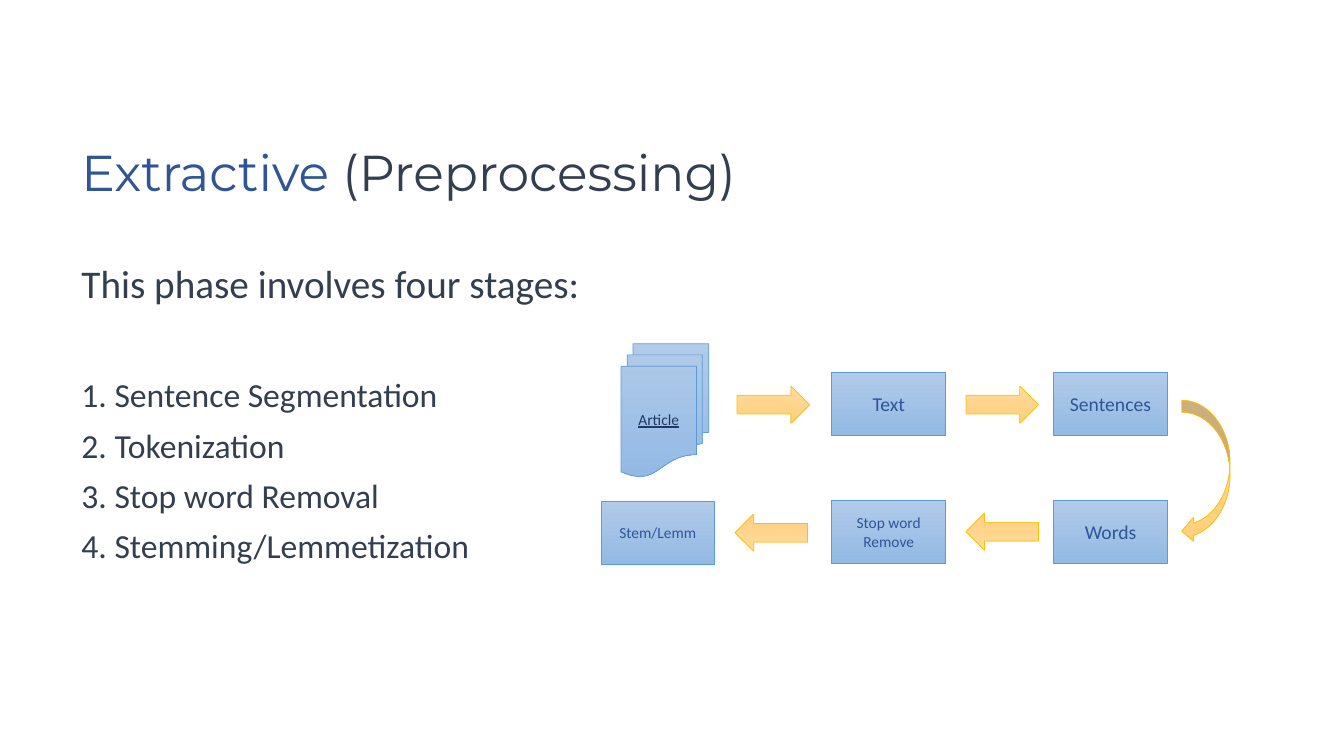
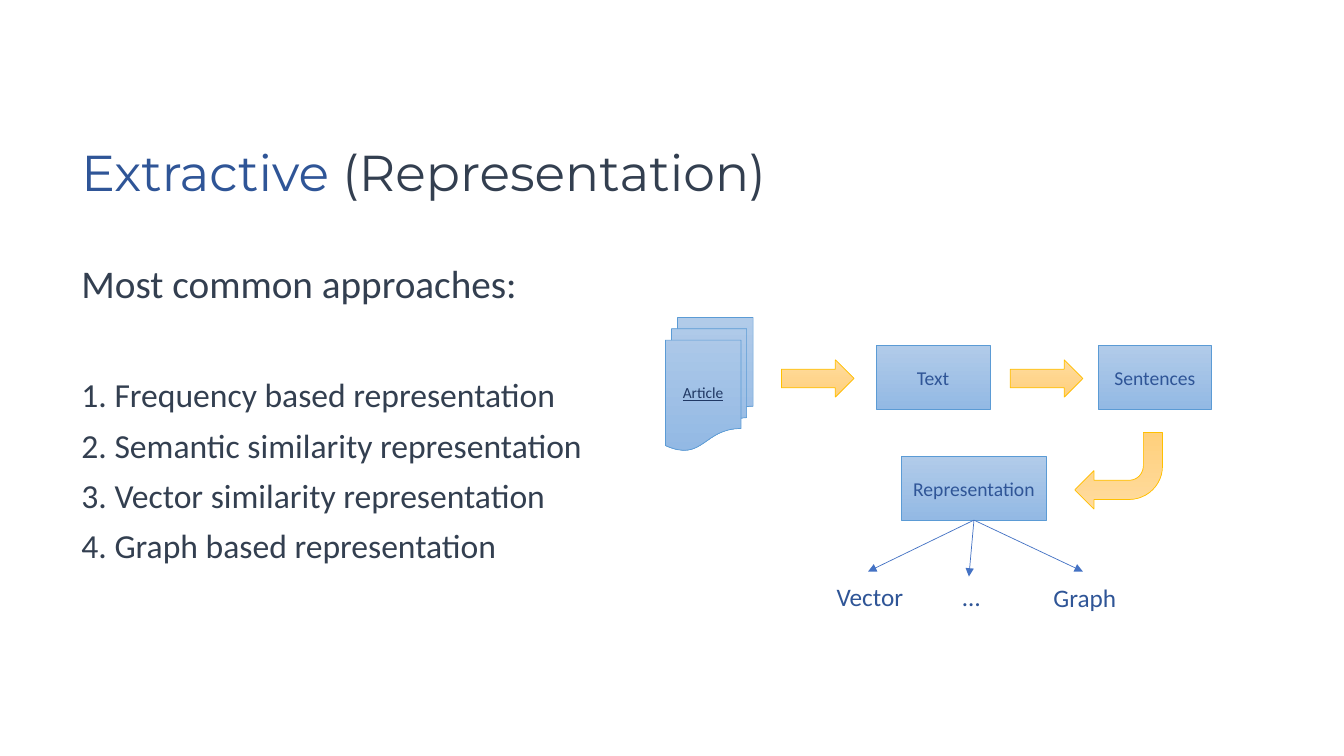
from lxml import etree
from pptx import Presentation
from pptx.dml.color import RGBColor
from pptx.enum.shapes import MSO_CONNECTOR, MSO_SHAPE
from pptx.enum.text import MSO_ANCHOR, PP_ALIGN
from pptx.oxml.ns import qn
from pptx.util import Inches, Pt

RECTANGLE = MSO_SHAPE.RECTANGLE
DOCUMENTS = MSO_SHAPE.FLOWCHART_MULTIDOCUMENT
RIGHT_ARROW = MSO_SHAPE.RIGHT_ARROW
CURVED_ARROW = MSO_SHAPE.CURVED_LEFT_ARROW
BENT_ARROW = MSO_SHAPE.BENT_ARROW
STRAIGHT = MSO_CONNECTOR.STRAIGHT
MIDDLE = MSO_ANCHOR.MIDDLE
CENTER = PP_ALIGN.CENTER

BLUE = RGBColor(0x2F, 0x55, 0x97)
NAVY = RGBColor(0x20, 0x38, 0x64)
SLATE = RGBColor(0x33, 0x3F, 0x50)
BRANCH_BLUE = RGBColor(0x44, 0x72, 0xC4)
# Top colour, bottom colour, outline
BOX_COLORS = (RGBColor(0xB1, 0xCB, 0xE9), RGBColor(0x93, 0xB9, 0xE4),
              RGBColor(0x5B, 0x9B, 0xD5))
ARROW_COLORS = (RGBColor(0xFF, 0xDB, 0x9E), RGBColor(0xFF, 0xD0, 0x7C),
                RGBColor(0xFF, 0xC0, 0x00))

TITLE_FONT = "Montserrat"
BODY_FONT = "Calibri"
BOX_WIDTH, BOX_HEIGHT = 1.13, 0.63
ARROW_WIDTH, ARROW_HEIGHT = 0.72, 0.37
LINE_WIDTH = Pt(0.5)


def format_run(run, size, color, font=BODY_FONT):
    run.font.name = font
    run.font.size = Pt(size)
    run.font.color.rgb = color


def add_text_box(slide, left, top, width, height):
    text_box = slide.shapes.add_textbox(
        Inches(left), Inches(top), Inches(width), Inches(height))
    text_box.text_frame.word_wrap = True
    return text_box.text_frame


def add_title(slide, topic):
    frame = add_text_box(slide, 0.71, 0.82, 8.08, 1.83)
    frame.vertical_anchor = MIDDLE
    paragraph = frame.paragraphs[0]
    paragraph.line_spacing = 0.9
    for text, color in (("Extractive", BLUE), (f" ({topic})", SLATE)):
        run = paragraph.add_run()
        run.text = text
        format_run(run, 36, color, TITLE_FONT)


def add_body(slide, heading, items):
    frame = add_text_box(slide, 0.71, 2.58, 11.5, 3.89)
    lines = [heading] + [f"{number}. {item}" for number, item in enumerate(items, 1)]
    frame.text = "\n".join(lines)
    for index, paragraph in enumerate(frame.paragraphs):
        paragraph.line_spacing = 0.9
        # The list starts after a wide gap below the heading
        paragraph.space_before = Pt(51 if index == 1 else 10)
        format_run(paragraph.runs[0], 28 if index == 0 else 24, SLATE)


def add_gradient_shape(slide, kind, left, top, width, height, colors):
    shape = slide.shapes.add_shape(
        kind, Inches(left), Inches(top), Inches(width), Inches(height))
    shape.shadow.inherit = False
    top_color, bottom_color, outline = colors
    shape.fill.gradient()
    shape.fill.gradient_angle = 270
    for stop, color in zip(shape.fill.gradient_stops, (top_color, bottom_color)):
        stop.color.rgb = color
    shape.line.color.rgb = outline
    shape.line.width = LINE_WIDTH
    return shape


def add_box(slide, text, left, top, size=14, width=BOX_WIDTH, height=BOX_HEIGHT,
            kind=RECTANGLE, color=BLUE):
    box = add_gradient_shape(slide, kind, left, top, width, height, BOX_COLORS)
    frame = box.text_frame
    frame.word_wrap = True
    frame.vertical_anchor = MIDDLE
    frame.text = text
    paragraph = frame.paragraphs[0]
    paragraph.alignment = CENTER
    format_run(paragraph.runs[0], size, color)
    return box


def add_arrow(slide, left, top, width=ARROW_WIDTH, height=ARROW_HEIGHT,
              kind=RIGHT_ARROW, rotation=0):
    arrow = add_gradient_shape(slide, kind, left, top, width, height, ARROW_COLORS)
    arrow.rotation = rotation


def add_input_flow(slide, left, top):
    """Article -> Text -> Sentences, the row that opens both diagrams."""
    article = add_box(slide, "Article", left, top, 11, 0.87, 1.32, DOCUMENTS, NAVY)
    article.text_frame.paragraphs[0].runs[0].font.underline = True
    for offset in (1.15, 3.42):
        add_arrow(slide, left + offset, top + 0.42)
    for text, offset in (("Text", 2.09), ("Sentences", 4.29)):
        add_box(slide, text, left + offset, top + 0.28)


def add_branch(slide, start, end):
    points = [Inches(value) for value in (*start, *end)]
    connector = slide.shapes.add_connector(STRAIGHT, *points)
    connector.line.color.rgb = BRANCH_BLUE
    connector.line.width = LINE_WIDTH
    line = connector.line._get_or_add_ln()
    etree.SubElement(line, qn("a:tailEnd"), type="triangle")
    etree.SubElement(connector._element.spPr, qn("a:effectLst"))


def add_label(slide, text, left, top):
    frame = add_text_box(slide, left, top, 0.93, 0.4)
    frame.text = text
    format_run(frame.paragraphs[0].runs[0], 18, BLUE)


def build_preprocessing(slide):
    add_title(slide, "Preprocessing")
    add_body(slide, "This phase involves four stages:",
             ("Sentence Segmentation", "Tokenization", "Stop word Removal",
              "Stemming/Lemmetization"))
    add_input_flow(slide, 6.16, 3.41)
    # Return row, read from right to left
    add_arrow(slide, 11.72, 3.97, 0.48, 1.42, CURVED_ARROW)
    add_box(slide, "Words", 10.45, 4.96)
    add_arrow(slide, 9.58, 5.09, rotation=180)
    add_box(slide, "Stop word Remove", 8.25, 4.96, 11)
    add_arrow(slide, 7.29, 5.1, rotation=180)
    add_box(slide, "Stem/Lemm", 5.96, 4.97, 11)


def build_representation(slide):
    add_title(slide, "Representation")
    add_body(slide, "Most common approaches:",
             [f"{basis} representation" for basis in
              ("Frequency based", "Semantic similarity", "Vector similarity",
               "Graph based")])
    add_input_flow(slide, 6.6, 3.15)
    add_arrow(slide, 10.66, 4.29, 0.87, 0.76, BENT_ARROW, 180)
    add_box(slide, "Representation", 8.94, 4.53, width=1.44)
    # Branches to the kinds of representation
    branches = (("Vector", (8.2, 5.72), (8.61, 5.67)),
                ("…", (9.45, 5.72), (9.61, 5.72)),
                ("Graph", (10.35, 5.73), (10.74, 5.67)))
    for text, label_position, tip in branches:
        add_branch(slide, (9.66, 5.16), tip)
        add_label(slide, text, *label_position)


def main():
    presentation = Presentation()
    presentation.slide_width = Inches(13.33)
    presentation.slide_height = Inches(7.5)
    blank_layout = presentation.slide_layouts[6]
    for build in (build_preprocessing, build_representation):
        build(presentation.slides.add_slide(blank_layout))
    presentation.save("out.pptx")


if __name__ == "__main__":
    main()
